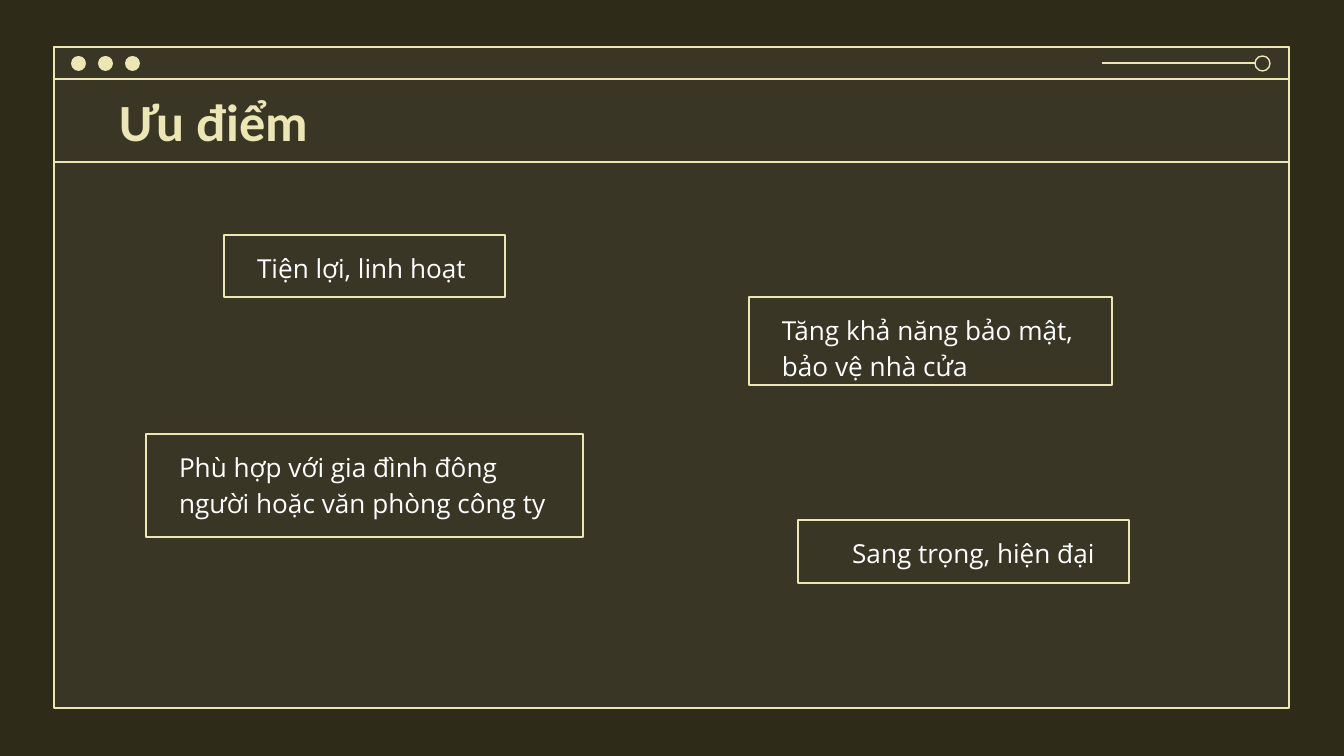
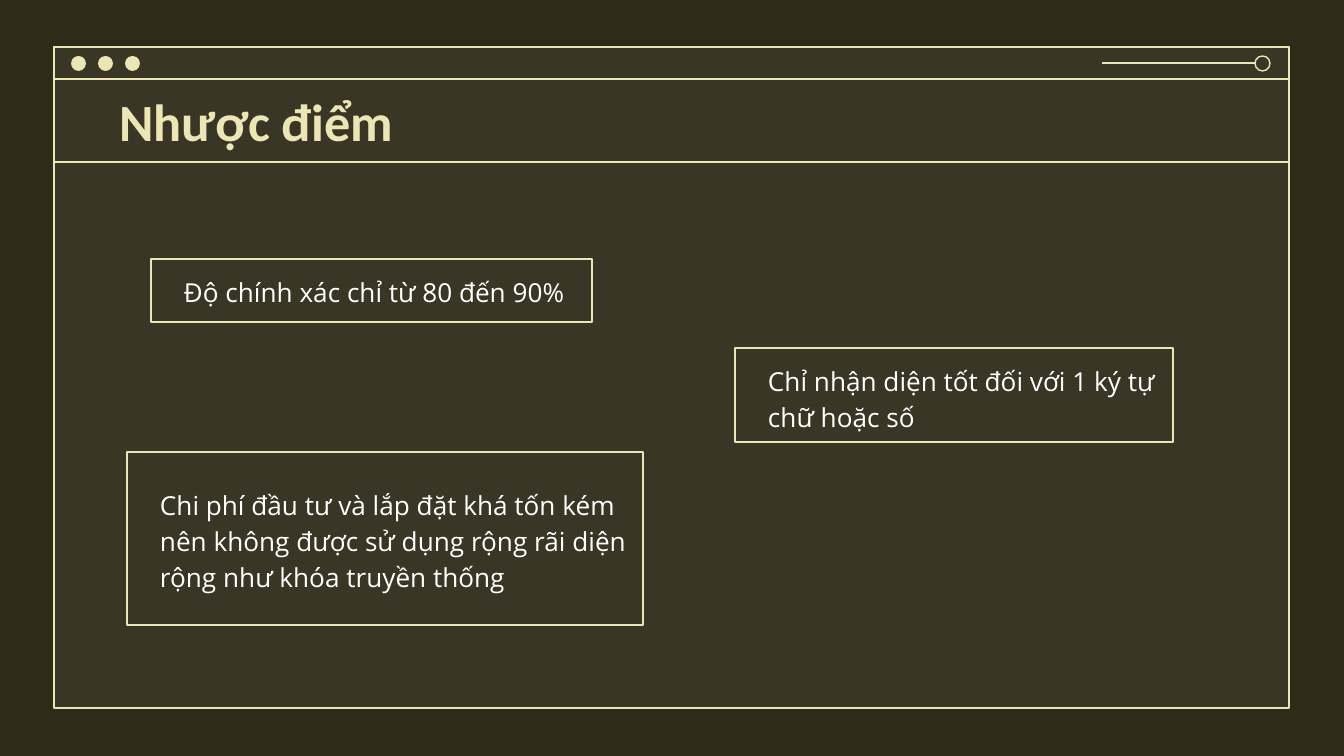
"""Build two slides on the strengths and weaknesses of a lock, framed as a window."""
from lxml.etree import SubElement
from pptx import Presentation
from pptx.dml.color import RGBColor
from pptx.enum.shapes import MSO_CONNECTOR, MSO_SHAPE
from pptx.enum.text import MSO_ANCHOR, PP_ALIGN
from pptx.oxml.ns import qn
from pptx.util import Pt

SCALE = 914400 / 134.4
CREAM, OLIVE, GREY, WHITE = "ECE5B4", "2F2B19", "7C7C7C", "FFFFFF"
TITLE_FONT, BODY_FONT = "Calibri", "Open Sans"
LEFT, TOP, MIDDLE, CENTER = PP_ALIGN.LEFT, MSO_ANCHOR.TOP, MSO_ANCHOR.MIDDLE, PP_ALIGN.CENTER
INSET, INDENT = 13, 20

SLIDES = [
    ("Ưu điểm", [
        ("Tiện lợi, linh hoạt", (224, 235, 281, 62), LEFT, TOP),
        ("Tăng khả năng bảo mật, bảo vệ nhà cửa", (749, 297, 363, 88), LEFT, TOP),
        ("Phù hợp với gia đình đông người hoặc văn phòng công ty", (146, 434, 437, 103), LEFT, TOP),
        ("Sang trọng, hiện đại", (798, 520, 331, 63), CENTER, TOP),
    ]),
    ("Nhược điểm", [
        ("Độ chính xác chỉ từ 80 đến 90%", (151, 259, 441, 63), LEFT, TOP),
        ("Chỉ nhận diện tốt đối với 1 ký tự chữ hoặc số", (735, 348, 438, 94), LEFT, TOP),
        ("Chi phí đầu tư và lắp đặt khá tốn kém nên không được sử dụng rộng rãi diện "
         "rộng như khóa truyền thống", (127, 452, 516, 173), LEFT, MIDDLE),
    ]),
]

WINDOW = (54, 47, 1235, 661)
BAR = (54, 47, 1235, 32)
TITLE = (106, 79, 1133, 83)
DOT_LEFT, DOT_TOP, DOT_SIZE, DOT_STEP = 71, 56, 15, 27
KNOB = (1255, 56, 15, 15)
RULES = [(1102, 63, 1255, 63), (54, 162, 1289, 162)]


def px(*lengths):
    return [round(length * SCALE) for length in lengths]


def color(code):
    return RGBColor.from_string(code)


def outline(line):
    line.color.rgb = color(CREAM)
    line.width = Pt(0.75)


def add_box(page, kind, place, fill=None, opacity=100):
    """Add a shape: outlined when it has no fill, otherwise filled without a line."""
    box = page.shapes.add_shape(kind, *px(*place))
    box.shadow.inherit = False
    if fill is None:
        box.fill.background()
        outline(box.line)
        return box
    box.fill.solid()
    box.fill.fore_color.rgb = color(fill)
    box.line.fill.background()
    if opacity < 100:
        tint = box.element.spPr.find(qn("a:solidFill")).find(qn("a:srgbClr"))
        SubElement(tint, qn("a:alpha")).set("val", str(opacity * 1000))
    return box


def add_rule(page, ends):
    rule = page.shapes.add_connector(MSO_CONNECTOR.STRAIGHT, *px(*ends))
    outline(rule.line)
    SubElement(rule.element.spPr, qn("a:effectLst"))


def write(box, text, font, size, ink, bold=False, align=LEFT, anchor=MIDDLE, indent=0, spacing=1.0):
    frame = box.text_frame
    frame.word_wrap = True
    frame.vertical_anchor = anchor
    frame.margin_top, frame.margin_right, frame.margin_bottom = px(INSET, INSET, INSET)
    frame.margin_left = px(INSET + indent)[0]
    para = frame.paragraphs[0]
    para.alignment = align
    para.line_spacing = spacing
    span = para.add_run()
    span.text = text
    span.font.name, span.font.size, span.font.bold = font, Pt(size), bold
    span.font.color.rgb = color(ink)


def add_window(page):
    add_box(page, MSO_SHAPE.RECTANGLE, WINDOW, GREY, 14)
    for place in (WINDOW, BAR):
        add_box(page, MSO_SHAPE.RECTANGLE, place)
    for index in range(3):
        place = (DOT_LEFT + index * DOT_STEP, DOT_TOP, DOT_SIZE, DOT_SIZE)
        add_box(page, MSO_SHAPE.OVAL, place, CREAM)
    add_box(page, MSO_SHAPE.OVAL, KNOB)
    for ends in RULES:
        add_rule(page, ends)


def add_title(page, text):
    title = page.shapes.title
    title.left, title.top, title.width, title.height = px(*TITLE)
    write(title, text, TITLE_FONT, 28, CREAM, bold=True)
    page.shapes.element.append(title.element)


def main():
    deck = Presentation()
    deck.slide_width, deck.slide_height = px(1344, 756)
    backdrop = deck.slide_master.background.fill
    backdrop.solid()
    backdrop.fore_color.rgb = color(OLIVE)
    for heading, points in SLIDES:
        page = deck.slides.add_slide(deck.slide_layouts.get_by_name("Title Only"))
        add_window(page)
        add_title(page, heading)
        for text, place, align, anchor in points:
            box = add_box(page, MSO_SHAPE.RECTANGLE, place)
            write(box, text, BODY_FONT, 14, WHITE, align=align, anchor=anchor,
                  indent=INDENT, spacing=1.15)
    deck.save("out.pptx")


if __name__ == "__main__":
    main()
